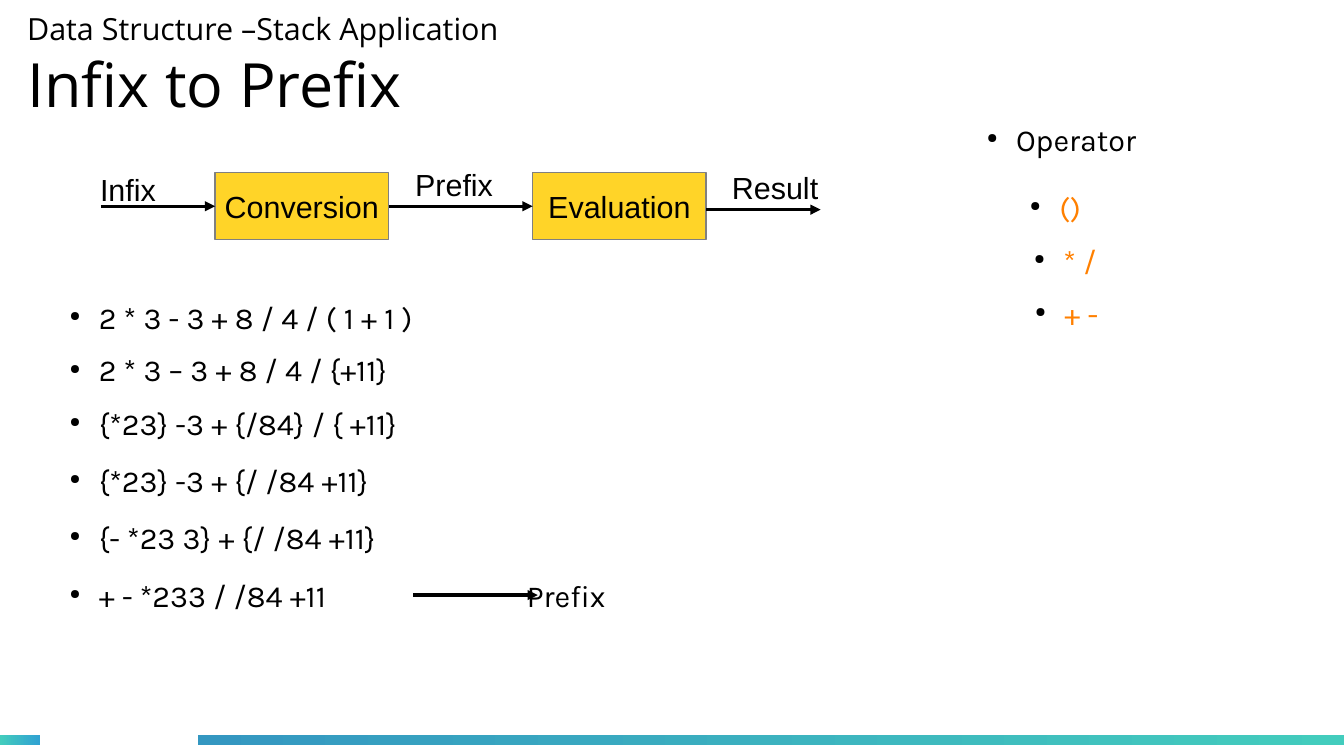
"""Build the Infix to Prefix slide with its conversion flow and worked steps."""
from lxml import etree
from pptx import Presentation
from pptx.dml.color import RGBColor
from pptx.enum.shapes import MSO_CONNECTOR, MSO_SHAPE
from pptx.enum.text import MSO_ANCHOR, PP_ALIGN
from pptx.oxml.ns import qn
from pptx.util import Pt

RECTANGLE = MSO_SHAPE.RECTANGLE
STRAIGHT = MSO_CONNECTOR.STRAIGHT
MIDDLE = MSO_ANCHOR.MIDDLE
CENTER = PP_ALIGN.CENTER
LEFT_SIDE, RIGHT_SIDE = 1, 3

THEME = {
    "ink": RGBColor.from_string("000000"),
    "operator": RGBColor.from_string("FF8000"),
    "stage": RGBColor.from_string("FFD428"),
    "stage_edge": RGBColor.from_string("808080"),
    "teal": RGBColor.from_string("43CCBD"),
    "sky": RGBColor.from_string("30A2D2"),
    "blue": RGBColor.from_string("3497C1"),
    "title_font": "Open Sans",
    "flow_font": "Arial",
    "step_font": "Karla",
    "body_size": Pt(18),
    "title_size": Pt(36),
}

prs = Presentation()
prs.slide_width, prs.slide_height = Pt(793.44), Pt(446.4)
slide = prs.slides.add_slide(prs.slide_layouts[6])
shapes = slide.shapes


def add_text(text, left, top, width, font, color=THEME["ink"], bullet=False):
    frame = shapes.add_textbox(Pt(left), Pt(top), Pt(width), Pt(31.7)).text_frame
    frame.word_wrap = True
    frame.text = text
    for paragraph in frame.paragraphs:
        if bullet:
            props = paragraph._p.get_or_add_pPr()
            props.set("marL", str(Pt(17.28)))
            props.set("indent", str(-Pt(17.28)))
            bullet_color = etree.SubElement(props, qn("a:buClr"))
            etree.SubElement(bullet_color, qn("a:srgbClr"), val=str(THEME["ink"]))
            etree.SubElement(props, qn("a:buSzPct"), val="45000")
            etree.SubElement(props, qn("a:buChar"), char="●")
        for run in paragraph.runs:
            run.font.name = font
            run.font.size = THEME["body_size"]
            run.font.color.rgb = color
    return frame


def add_arrow(start, end, y):
    arrow = shapes.add_connector(STRAIGHT, Pt(start), Pt(y), Pt(end), Pt(y))
    arrow.line.color.rgb = THEME["ink"]
    arrow.line.width = Pt(0)
    properties = arrow._element.spPr
    etree.SubElement(properties.find(qn("a:ln")), qn("a:tailEnd"), type="triangle")
    etree.SubElement(properties, qn("a:effectLst"))
    return arrow


for left, width, colors in [
    (0, 23.4, ("teal", "sky")),
    (117, 676.44, ("blue", "teal")),
]:
    bar = shapes.add_shape(RECTANGLE, Pt(left), Pt(434), Pt(width), Pt(6))
    bar.shadow.inherit = False
    bar.line.fill.background()
    bar.fill.gradient()
    bar.fill.gradient_angle = 0
    for position, (stop, color) in enumerate(zip(bar.fill.gradient_stops, colors)):
        stop.position = position
        stop.color.rgb = THEME[color]

title = add_text("Data Structure –Stack Application\nInfix to Prefix",
                 16, 6, 721, THEME["title_font"])
title.margin_left = title.margin_right = title.margin_top = title.margin_bottom = 0
title.paragraphs[1].runs[0].font.size = THEME["title_size"]

stages = []
for name, left in [("Conversion", 127), ("Evaluation", 314.5)]:
    stage = shapes.add_shape(RECTANGLE, Pt(left), Pt(102), Pt(102.4), Pt(39.6))
    stage.shadow.inherit = False
    stage.fill.solid()
    stage.fill.fore_color.rgb = THEME["stage"]
    stage.line.color.rgb = THEME["stage_edge"]
    stage.line.width = Pt(0)
    caption = stage.text_frame
    caption.word_wrap = False
    caption.vertical_anchor = MIDDLE
    caption.text = name
    caption.paragraphs[0].alignment = CENTER
    caption_font = caption.paragraphs[0].runs[0].font
    caption_font.name = THEME["flow_font"]
    caption_font.size = THEME["body_size"]
    caption_font.color.rgb = THEME["ink"]
    stages.append(stage)
conversion, evaluation = stages

infix_arrow = add_arrow(59.5, 127, 121.8)
infix_arrow.end_connect(conversion, LEFT_SIDE)
prefix_arrow = add_arrow(229.4, 314.5, 121.8)
prefix_arrow.begin_connect(conversion, RIGHT_SIDE)
prefix_arrow.end_connect(evaluation, LEFT_SIDE)
add_arrow(416.9, 484.5, 123.8)

for label, left, top in [("Infix", 52, 97.5), ("Prefix", 238, 94.5), ("Result", 425, 96.5)]:
    add_text(label, left, top, 72, THEME["flow_font"])

steps = [
    ("2 * 3 - 3 + 8 / 4 / ( 1 + 1 )", 172.8),
    ("2 * 3 – 3 + 8 / 4 / {+11}", 204),
    ("{*23} -3 + {/84} / { +11}", 235.4),
    ("{*23} -3 + {/ /84 +11}", 269.3),
    ("{- *23 3} + {/ /84 +11}", 303.1),
    ("+ - *233 / /84 +11", 337),
]
for step, top in steps:
    add_text(step, 34, top, 284, THEME["step_font"], bullet=True)
add_arrow(244, 317.5, 351.4)
add_text("Prefix", 304, steps[-1][1], 80, THEME["step_font"])

add_text("Operator", 575.5, 67.7, 158, THEME["step_font"], bullet=True)
for row, (operators, left) in enumerate([("()", 601), ("* /", 603.5), ("+ -", 604)]):
    add_text(operators, left, 108 + 31.3 * row, 72, THEME["step_font"],
             THEME["operator"], bullet=True)

prs.save("out.pptx")
